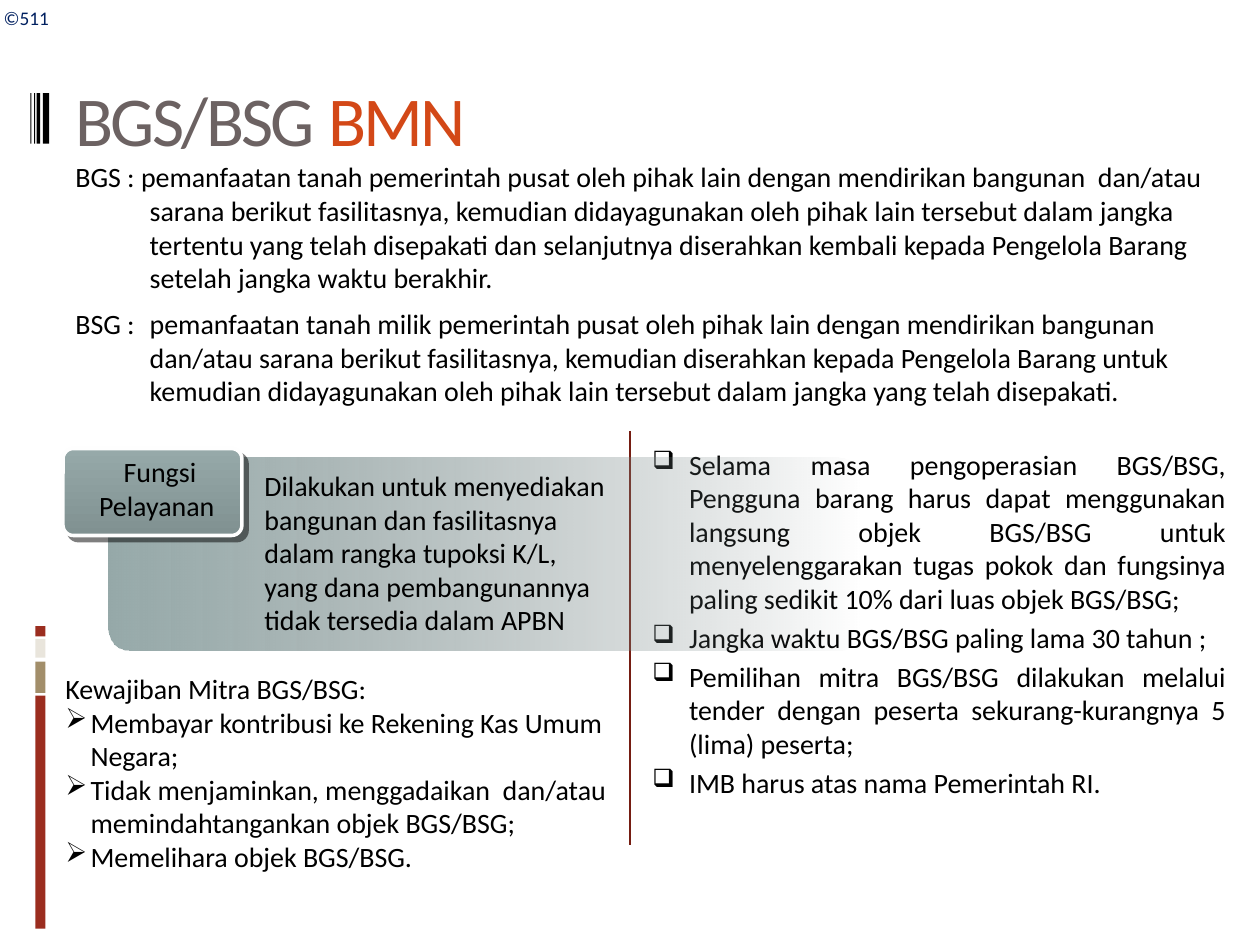
from dataclasses import dataclass, field

from lxml import etree
from pptx import Presentation
from pptx.dml.color import RGBColor
from pptx.enum.shapes import MSO_CONNECTOR, MSO_SHAPE
from pptx.enum.text import MSO_ANCHOR, PP_ALIGN
from pptx.oxml.ns import qn
from pptx.util import Inches, Length, Pt

RECT, ROUNDED = MSO_SHAPE.RECTANGLE, MSO_SHAPE.ROUNDED_RECTANGLE
STRAIGHT = MSO_CONNECTOR.STRAIGHT
LEFT, CENTER, JUSTIFY = PP_ALIGN.LEFT, PP_ALIGN.CENTER, PP_ALIGN.JUSTIFY
TOP, MIDDLE = MSO_ANCHOR.TOP, MSO_ANCHOR.MIDDLE

FONT = "Calibri"
COLORS = {
    "black": "000000", "red": "9B2D1F", "tan": "A28E6A", "cream": "E9E5DC",
    "navy": "002060", "divider": "751D12", "title": "6C6262",
    "accent": "D34817", "sage": "96A9A9", "sage_dark": "6B7979",
    "sage_mid": "809191", "border": "FEFEFE",
}


@dataclass
class Bar:
    left: float
    top: float
    width: float
    height: float
    color: str


@dataclass
class Run:
    text: str
    color: str = "black"
    size: float = 16
    spacing: float = 0


@dataclass
class Para:
    runs: list[Run]
    format: dict = field(default_factory=dict)
    hanging: float = 0
    bullet: str = ""
    bullet_percent: int = 100


@dataclass
class TextBlock:
    left: float
    top: float
    width: float
    height: float
    paragraphs: list[Para]
    anchor: MSO_ANCHOR = TOP


def rgb(name: str) -> RGBColor:
    return RGBColor.from_string(COLORS[name])


def box(item) -> list[Length]:
    return [Inches(v) for v in (item.left, item.top, item.width, item.height)]


def add_bar(slide, bar: Bar) -> None:
    shape = slide.shapes.add_shape(RECT, *box(bar))
    shape.shadow.inherit = False
    shape.fill.solid()
    shape.fill.fore_color.rgb = rgb(bar.color)
    shape.line.fill.background()


def add_gradient_panel(slide, area: Bar, end_color: str, angle: float, corner: float):
    """Draw a rounded panel shading from the area's colour to end_color."""
    panel = slide.shapes.add_shape(ROUNDED, *box(area))
    panel.adjustments[0] = corner
    panel.shadow.inherit = False
    panel.fill.gradient()
    panel.fill.gradient_angle = angle
    for stop, color in zip(panel.fill.gradient_stops, (area.color, end_color)):
        stop.color.rgb = rgb(color)
    panel.line.fill.background()
    return panel


def fade_out(panel) -> None:
    """Make the last gradient stop fully transparent."""
    last_color = panel._element.spPr.findall(".//" + qn("a:srgbClr"))[-1]
    etree.SubElement(last_color, qn("a:alpha"), val="0")


def add_drop_shadow(panel, distance: Length) -> None:
    effects = panel._element.spPr.find(qn("a:effectLst"))
    shadow = etree.SubElement(effects, qn("a:outerShdw"), dist=str(int(distance)),
                              dir="2700000", algn="ctr", rotWithShape="0")
    color = etree.SubElement(shadow, qn("a:srgbClr"), val=COLORS["black"])
    etree.SubElement(color, qn("a:alpha"), val="50000")


def add_divider(slide, x: float, top: float, bottom: float) -> None:
    line = slide.shapes.add_connector(
        STRAIGHT, Inches(x), Inches(top), Inches(x), Inches(bottom))
    line.line.color.rgb = rgb("divider")
    line.line.width = Pt(0.75)
    etree.SubElement(line._element.spPr, qn("a:effectLst"))


def write_paragraph(paragraph, content: Para) -> None:
    for name, value in content.format.items():
        setattr(paragraph, name, value)
    properties = paragraph._p.get_or_add_pPr()
    if content.hanging:
        indent = int(Inches(content.hanging))
        properties.set("marL", str(indent))
        properties.set("indent", str(-indent))
    if content.bullet:
        etree.SubElement(properties, qn("a:buSzPct"), val=str(content.bullet_percent * 1000))
        etree.SubElement(properties, qn("a:buChar"), char=content.bullet)
    for part in content.runs:
        run = paragraph.add_run()
        run.text = part.text
        for name, value in {"name": FONT, "size": Pt(part.size)}.items():
            setattr(run.font, name, value)
        run.font.color.rgb = rgb(part.color)
        if part.spacing:
            run.font._element.set("spc", str(int(part.spacing * 100)))


def add_text(slide, block: TextBlock) -> None:
    frame = slide.shapes.add_textbox(*box(block)).text_frame
    frame.word_wrap = True
    frame.vertical_anchor = block.anchor
    for index, content in enumerate(block.paragraphs):
        paragraph = frame.add_paragraph() if index else frame.paragraphs[0]
        write_paragraph(paragraph, content)


SIDE_BARS = [
    Bar(0.28, 5.52, 0.08, 1.85, "red"),
    Bar(0.28, 5.25, 0.08, 0.25, "tan"),
    Bar(0.28, 5.07, 0.08, 0.15, "cream"),
    Bar(0.28, 4.97, 0.08, 0.08, "red"),
]
TITLE_STRIPES = [
    Bar(left, 0.74, width, 0.4, "black")
    for left, width in ((0.34, 0.05), (0.29, 0.03), (0.27, 0.01), (0.24, 0.01))
]

DEFINITIONS = [
    "BGS : pemanfaatan tanah pemerintah pusat oleh pihak lain dengan mendirikan bangunan  "
    "dan/atau sarana berikut fasilitasnya, kemudian didayagunakan oleh pihak lain tersebut "
    "dalam jangka tertentu yang telah disepakati dan selanjutnya diserahkan kembali kepada "
    "Pengelola Barang setelah jangka waktu berakhir.",
    "BSG :\tpemanfaatan tanah milik pemerintah pusat oleh pihak lain dengan mendirikan "
    "bangunan  dan/atau sarana berikut fasilitasnya, kemudian diserahkan kepada Pengelola "
    "Barang untuk kemudian didayagunakan oleh pihak lain tersebut dalam jangka yang telah "
    "disepakati.",
]
REQUIREMENTS = [
    "Selama masa pengoperasian BGS/BSG, Pengguna barang harus dapat menggunakan langsung "
    "objek BGS/BSG untuk menyelenggarakan tugas pokok dan fungsinya paling sedikit 10% dari "
    "luas objek BGS/BSG;",
    "Jangka waktu BGS/BSG paling lama 30 tahun ;",
    "Pemilihan mitra BGS/BSG dilakukan melalui tender dengan peserta sekurang-kurangnya 5 "
    "(lima) peserta;",
    "IMB harus atas nama Pemerintah RI.",
]
OBLIGATIONS = [
    "Membayar kontribusi ke Rekening Kas Umum Negara;",
    "Tidak menjaminkan, menggadaikan  dan/atau memindahtangankan objek BGS/BSG;",
    "Memelihara objek BGS/BSG.",
]
PURPOSE = ("Dilakukan untuk menyediakan bangunan dan fasilitasnya dalam rangka tupoksi K/L, "
           "yang dana pembangunannya tidak tersedia dalam APBN")

DEFINITION_FORMAT = {"alignment": LEFT, "space_before": Pt(7)}
REQUIREMENT_FORMAT = {"alignment": JUSTIFY, "space_before": Pt(3)}

UPPER_TEXTS = [
    TextBlock(-0.07, 0, 0.61, 0.29, [Para([Run("©511", "navy", 11)])]),
    TextBlock(0.5, 0.23, 9, 1.42, [Para([Run("BGS/BSG ", "title", 40, -1.5),
                                         Run("BMN", "accent", 40, -1.5)])], MIDDLE),
    TextBlock(0.5, 1.22, 9.33, 2.2,
              [Para([Run(text)], DEFINITION_FORMAT, 0.59) for text in DEFINITIONS]),
    TextBlock(5.08, 3.5, 4.75, 2.92,
              [Para([Run(text)], REQUIREMENT_FORMAT, 0.29, "❑", 90) for text in REQUIREMENTS]),
]
LOWER_TEXTS = [
    TextBlock(2, 3.67, 2.92, 1.45, [Para([Run(PURPOSE)])]),
    TextBlock(0.58, 3.56, 1.33, 0.64, [Para([Run(" Fungsi Pelayanan")], {"alignment": CENTER})]),
    TextBlock(0.42, 5.28, 4.58, 1.72,
              [Para([Run("Kewajiban Mitra BGS/BSG:")])]
              + [Para([Run(text)], hanging=0.2, bullet="➢") for text in OBLIGATIONS]),
]


def main() -> None:
    deck = Presentation()
    deck.slide_width, deck.slide_height = Inches(10), Inches(7.5)
    slide = deck.slides.add_slide(deck.slide_layouts[6])

    for bar in SIDE_BARS + TITLE_STRIPES:
        add_bar(slide, bar)
    add_divider(slide, 5, 3.42, 6.71)
    for block in UPPER_TEXTS:
        add_text(slide, block)

    purpose_panel = add_gradient_panel(
        slide, Bar(0.86, 3.63, 5.97, 1.53, "sage"), "sage_dark", 0, 0.115)
    fade_out(purpose_panel)
    function_label = add_gradient_panel(
        slide, Bar(0.5, 3.56, 1.42, 0.69, "sage"), "sage_mid", 270, 0.119)
    function_label.line.color.rgb = rgb("border")
    function_label.line.width = Pt(2)
    add_drop_shadow(function_label, Pt(4.2))

    for block in LOWER_TEXTS:
        add_text(slide, block)
    deck.save("out.pptx")


if __name__ == "__main__":
    main()
